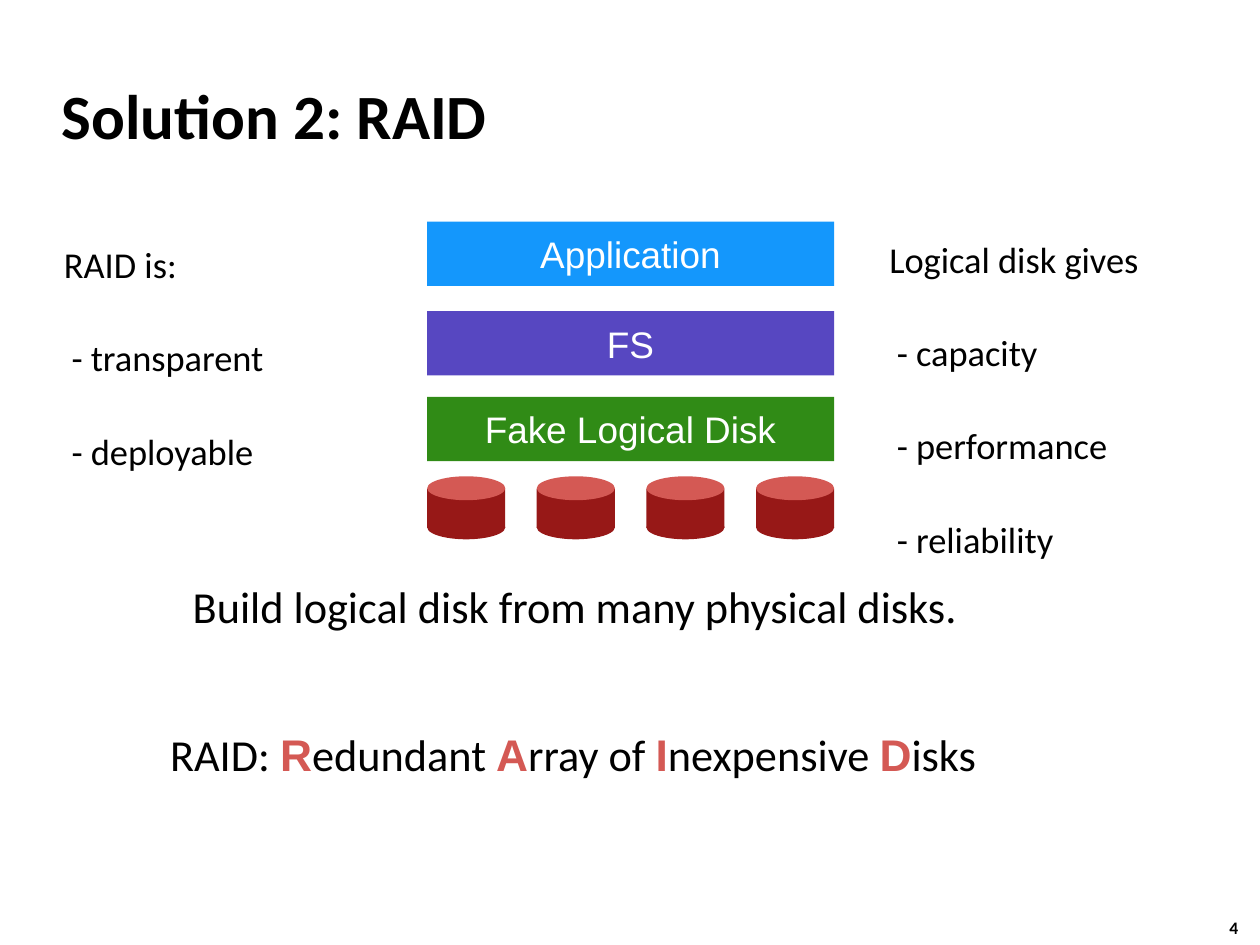
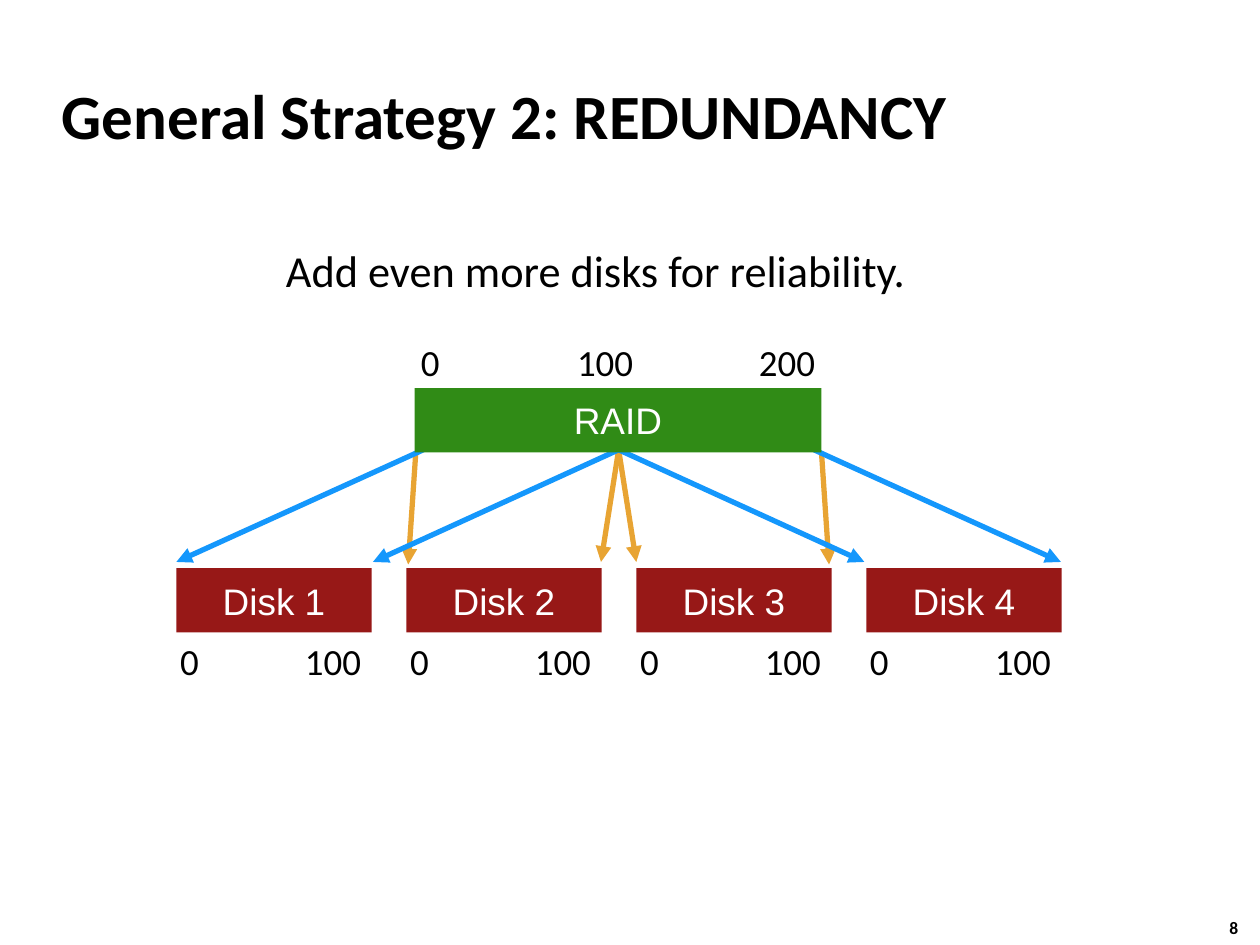
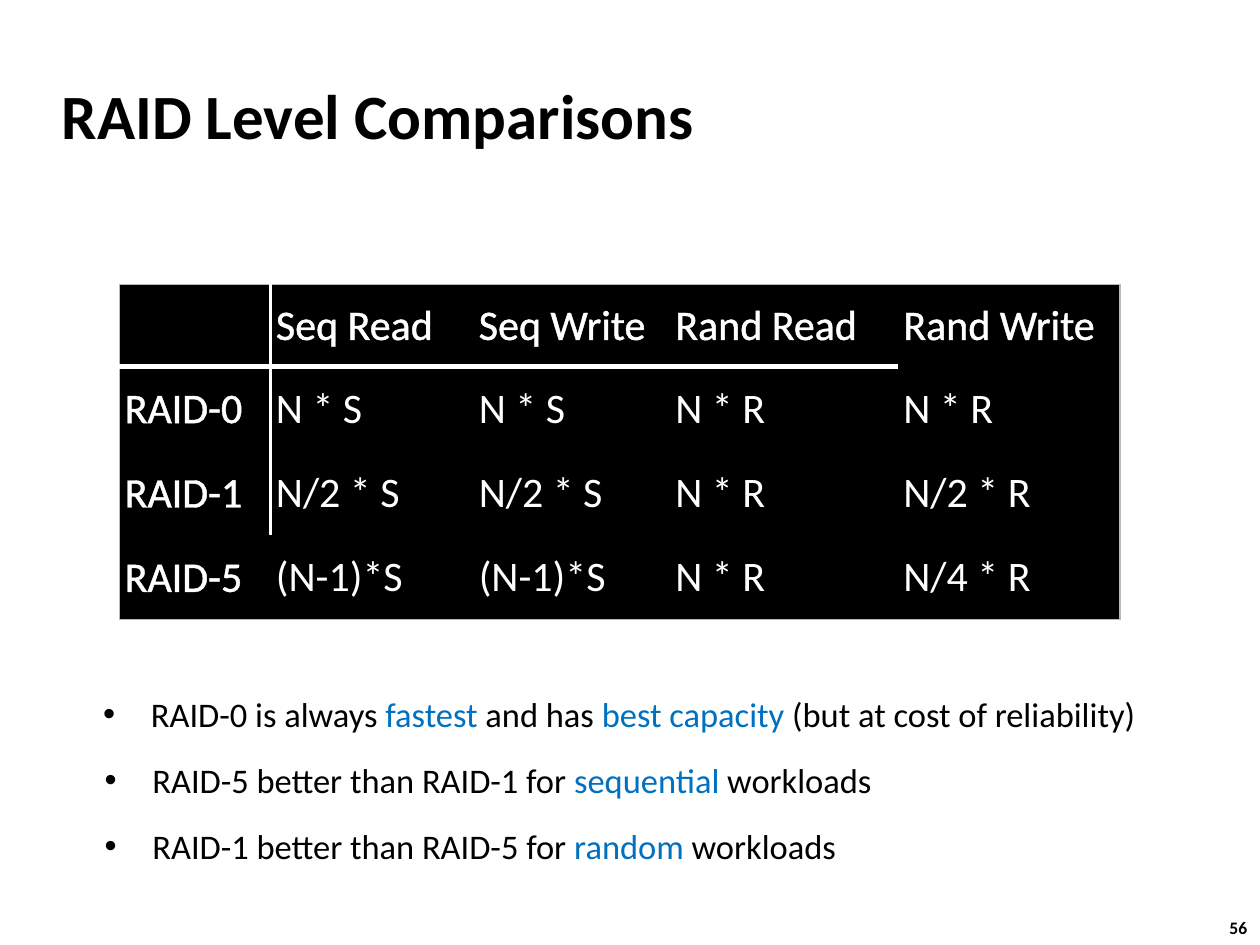
from lxml import etree
from pptx import Presentation
from pptx.dml.color import RGBColor
from pptx.enum.shapes import MSO_CONNECTOR, MSO_SHAPE
from pptx.enum.text import MSO_ANCHOR, MSO_AUTO_SIZE, PP_ALIGN
from pptx.oxml.ns import qn
from pptx.util import Inches, Pt

LEFT, CENTER, RIGHT = PP_ALIGN.LEFT, PP_ALIGN.CENTER, PP_ALIGN.RIGHT
TOP, MIDDLE = MSO_ANCHOR.TOP, MSO_ANCHOR.MIDDLE
RECTANGLE, OVAL = MSO_SHAPE.RECTANGLE, MSO_SHAPE.OVAL
STRAIGHT = MSO_CONNECTOR.STRAIGHT
FIT_SHAPE, NO_FIT = MSO_AUTO_SIZE.SHAPE_TO_FIT_TEXT, MSO_AUTO_SIZE.NONE
TITLE_ONLY = 5

COLORS = {
    "black": "000000", "white": "FFFFFF", "grid": "B9B9B9",
    "blue": "1497FC", "purple": "5747C1", "green": "308B16",
    "dark_red": "971817", "light_red": "D45954", "orange": "E8A433",
    "highlight": "0070C0",
}
FORMATS = {
    "title": {"size": Pt(36), "name": "Calibri", "bold": True, "color": "black"},
    "number": {"size": Pt(10), "name": "Calibri", "bold": True, "color": "black"},
    "lead": {"size": Pt(25.3), "name": "Calibri", "color": "black"},
    "initial": {"size": Pt(25.3), "name": "Arial", "bold": True, "color": "light_red"},
    "list": {"size": Pt(20.8), "name": "Calibri", "color": "black"},
    "label": {"size": Pt(21.1), "name": "Calibri", "color": "black"},
    "block": {"size": Pt(21.1), "name": "Arial", "color": "white"},
    "bullet": {"size": Pt(19.7), "name": "Calibri", "color": "black"},
    "keyword": {"size": Pt(19.7), "name": "Calibri", "color": "highlight"},
    "cell": {"size": Pt(24), "name": "Calibri", "color": "white"},
}
NO_INSET, SLIM, WIDE = (0, 0), (0.04, 0.04), (0.1, 0.05)
BLOCK_HEIGHT, RAID_WIDTH = 0.51, 3.23


def inches(*lengths):
    return [Inches(length) for length in lengths]


def add_solid_fill(parent, color):
    fill = etree.SubElement(parent, qn("a:solidFill"))
    etree.SubElement(fill, qn("a:srgbClr"), val=COLORS[color])


class Deck:
    def __init__(self):
        self.presentation = Presentation()
        self.presentation.slide_width = Inches(10)
        self.presentation.slide_height = Inches(7.5)
        self.page = None

    def new_page(self, title, number, title_width=8.3):
        layout = self.presentation.slide_layouts[TITLE_ONLY]
        self.page = self.presentation.slides.add_slide(layout)
        box = self.page.shapes.title
        box.left, box.top, box.width, box.height = inches(0.39, 0.49, title_width, 0.83)
        self.set_frame(box.text_frame, WIDE, MIDDLE, True)
        box.text_frame.auto_size = NO_FIT
        self.add_spans(box.text_frame.paragraphs[0], [(title, "title")])
        self.text((9.66, 7.23, 0.37, 0.27), [(number, "number")], WIDE, TOP)

    def set_frame(self, frame, inset, anchor, wrap):
        frame.margin_left = frame.margin_right = Inches(inset[0])
        frame.margin_top = frame.margin_bottom = Inches(inset[1])
        frame.vertical_anchor = anchor
        frame.word_wrap = wrap

    def add_spans(self, para, spans, align=LEFT):
        """Add (text, format name) spans to a paragraph."""
        para.alignment = align
        for text, style in spans:
            span = para.add_run()
            span.text = text
            for key, value in FORMATS[style].items():
                if key == "color":
                    span.font.color.rgb = RGBColor.from_string(COLORS[value])
                else:
                    setattr(span.font, key, value)

    def text(self, place, spans, inset=SLIM, anchor=MIDDLE, wrap=False,
             align=LEFT, bullet=False):
        box = self.page.shapes.add_textbox(*inches(*place))
        self.set_frame(box.text_frame, inset, anchor, wrap)
        box.text_frame.auto_size = FIT_SHAPE
        para = box.text_frame.paragraphs[0]
        if bullet:
            properties = para._p.get_or_add_pPr()
            properties.set("marL", str(Inches(0.38)))
            properties.set("indent", str(-Inches(0.38)))
            etree.SubElement(properties, qn("a:buFont"), typeface="Arial")
            etree.SubElement(properties, qn("a:buChar"), char="•")
        self.add_spans(para, spans, align)

    def dash_list(self, place, heading, items):
        box = self.page.shapes.add_textbox(*inches(*place))
        frame = box.text_frame
        self.set_frame(frame, WIDE, TOP, True)
        self.add_spans(frame.paragraphs[0], [(heading, "list")])
        for item in items:
            para = frame.add_paragraph()
            para.space_before = Pt(28.4)
            para._p.get_or_add_pPr().set("marL", str(Inches(0.06)))
            self.add_spans(para, [(f"- {item}", "list")])

    def shape(self, kind, place, color, shapes=None):
        shape = (shapes or self.page.shapes).add_shape(kind, *inches(*place))
        shape.shadow.inherit = False
        shape.fill.solid()
        shape.fill.fore_color.rgb = RGBColor.from_string(COLORS[color])
        shape.line.fill.background()
        return shape

    def block(self, left, top, width, color, label):
        shape = self.shape(RECTANGLE, (left, top, width, BLOCK_HEIGHT), color)
        self.set_frame(shape.text_frame, NO_INSET, MIDDLE, True)
        self.add_spans(shape.text_frame.paragraphs[0], [(label, "block")], CENTER)

    def cylinder(self, left, top, width):
        shapes = self.page.shapes.add_group_shape().shapes
        self.shape(OVAL, (left, top + 0.31, width, 0.19), "dark_red", shapes)
        self.shape(RECTANGLE, (left, top + 0.1, width, 0.31), "dark_red", shapes)
        self.shape(OVAL, (left, top, width, 0.19), "light_red", shapes)

    def arrow(self, start, end, color):
        arrow = self.page.shapes.add_connector(STRAIGHT, *inches(*start, *end))
        arrow.line.width = Pt(3)
        arrow.line.color.rgb = RGBColor.from_string(COLORS[color])
        properties = arrow.element.spPr
        etree.SubElement(properties.find(qn("a:ln")), qn("a:tailEnd"), type="triangle")
        etree.SubElement(properties, qn("a:effectLst"))

    def border(self, cell, edge, line):
        """Draw one cell edge from a (color, points) pair, or clear it for None."""
        properties = cell._tc.get_or_add_tcPr()
        border = etree.SubElement(properties, qn(f"a:{edge}"))
        if line:
            color, points = line
            border.set("w", str(Pt(points)))
            add_solid_fill(border, color)
        else:
            etree.SubElement(border, qn("a:noFill"))

    def outline_text(self, cell):
        for span in cell.text_frame.paragraphs[0].runs:
            line = etree.Element(qn("a:ln"), w=str(Pt(0.75)))
            add_solid_fill(line, "white")
            span._r.get_or_add_rPr().insert(0, line)

    def table(self, place, widths, heights, rows):
        table = self.page.shapes.add_table(len(rows), len(widths), *inches(*place)).table
        for column, width in zip(table.columns, widths):
            column.width = Inches(width)
        for row, height in zip(table.rows, heights):
            row.height = Inches(height)
        last_row, last_column = len(rows), len(widths)

        def vertical(row, position):
            if position in (0, last_column):
                return "grid", 0.75
            return ("white", 2) if position == 1 and row < last_row - 1 else None

        def horizontal(position, column):
            if position in (0, last_row):
                return "grid", 0.75
            return ("white", 3) if position == 1 and column < last_column - 1 else None

        for r, values in enumerate(rows):
            for c, value in enumerate(values):
                cell = table.cell(r, c)
                cell.margin_left = cell.margin_right = Inches(0.04)
                cell.margin_top = cell.margin_bottom = Inches(0.04)
                cell.vertical_anchor = MIDDLE
                if value:
                    self.add_spans(cell.text_frame.paragraphs[0], [(value, "cell")])
                if r == 0 or c == 0:
                    self.outline_text(cell)
                self.border(cell, "lnL", vertical(r, c))
                self.border(cell, "lnR", vertical(r, c + 1))
                self.border(cell, "lnT", horizontal(r, c))
                self.border(cell, "lnB", horizontal(r + 1, c))
                cell.fill.solid()
                cell.fill.fore_color.rgb = RGBColor.from_string(COLORS["black"])


def add_raid_page(deck):
    deck.new_page("Solution 2: RAID", "4")
    stack_left, disk_width, disk_count = 3.39, 0.62, 4
    layers = [(1.76, "blue", "Application"), (2.47, "purple", "FS"),
              (3.15, "green", "Fake Logical Disk")]
    for top, color, label in layers:
        deck.block(stack_left, top, RAID_WIDTH, color, label)
    pitch = (RAID_WIDTH - disk_width) / (disk_count - 1)
    for i in range(disk_count):
        deck.cylinder(stack_left + i * pitch, 3.78, disk_width)
    deck.text((1.53, 4.6, 6.1, 0.43),
              [("Build logical disk from many physical disks.", "lead")], NO_INSET, TOP)
    acronym = [("RAID: ", "lead")]
    for word in ("Redundant ", "Array of ", "Inexpensive ", "Disks"):
        acronym += [(word[0], "initial"), (word[1:], "lead")]
    deck.text((1.31, 5.73, 6.58, 0.5), acronym)
    deck.dash_list((0.41, 1.87, 2.54, 1.78), "RAID is:", ["transparent", "deployable"])
    deck.dash_list((6.96, 1.83, 3.04, 2.45), "Logical disk gives",
                   ["capacity", "performance", "reliability"])


def add_redundancy_page(deck):
    deck.new_page("General Strategy 2: REDUNDANCY", "8", 9.02)
    center = 4.91

    def mirrored_arrows(color, start_offset, end_offset, top, bottom):
        for side in (-1, 1):
            deck.arrow((center + side * start_offset, top),
                       (center + side * end_offset, bottom), color)

    mirrored_arrows("orange", 0, 0.14, 3.57, 4.46)
    mirrored_arrows("orange", 1.61, 1.67, 3.59, 4.48)
    for i in range(4):
        left = 1.4 + i * 1.825
        deck.block(left, 4.51, 1.55, "dark_red", f"Disk {i + 1}")
        deck.text((left - 0.01, 5.03, 0.23, 0.43), [("0", "label")])
        deck.text((left + 0.98, 5.03, 0.53, 0.43), [("100", "label")])
    mirrored_arrows("blue", 0, 1.95, 3.57, 4.46)
    mirrored_arrows("blue", 1.55, 3.51, 3.57, 4.46)

    deck.block(3.29, 3.08, RAID_WIDTH, "green", "RAID")
    scale = [(3.3, 0.23, "0", LEFT), (4.54, 0.53, "100", LEFT), (5.98, 0.53, "200", RIGHT)]
    for left, width, label, align in scale:
        deck.text((left, 2.66, width, 0.43), [(label, "label")], align=align)
    deck.text((2.23, 1.89, 5.04, 0.5), [("Add even more disks for reliability.", "lead")])


def add_comparison_page(deck):
    deck.new_page("RAID Level Comparisons", "56")
    deck.table((0.95, 2.26, 7.94, 2.67), [1.2, 1.61, 1.56, 1.81, 1.76],
               [0.65, 0.67, 0.67, 0.67], [
        ["", "Seq Read", "Seq Write", "Rand Read", "Rand Write"],
        ["RAID-0", "N * S", "N * S", "N * R", "N * R"],
        ["RAID-1", "N/2 * S", "N/2 * S", "N * R", "N/2 * R"],
        ["RAID-5", "(N-1)*S", "(N-1)*S", "N * R", "N/4 * R"],
    ])
    deck.text((0.72, 5.45, 9.24, 0.43), [
        ("RAID-0 is always ", "bullet"), ("fastest", "keyword"), (" and has ", "bullet"),
        ("best capacity ", "keyword"), ("(but at cost of reliability)", "bullet"),
    ], WIDE, TOP, wrap=True, bullet=True)
    verdicts = [(5.98, 6.24, "RAID-5 better than RAID-1 for ", "sequential"),
                (6.51, 5.95, "RAID-1 better than RAID-5 for ", "random")]
    for top, width, verdict, workload in verdicts:
        deck.text((0.79, top, width, 0.41), [
            (verdict, "bullet"), (workload, "keyword"), (" workloads", "bullet"),
        ], bullet=True)


def main():
    deck = Deck()
    add_raid_page(deck)
    add_redundancy_page(deck)
    add_comparison_page(deck)
    deck.presentation.save("out.pptx")


if __name__ == "__main__":
    main()
